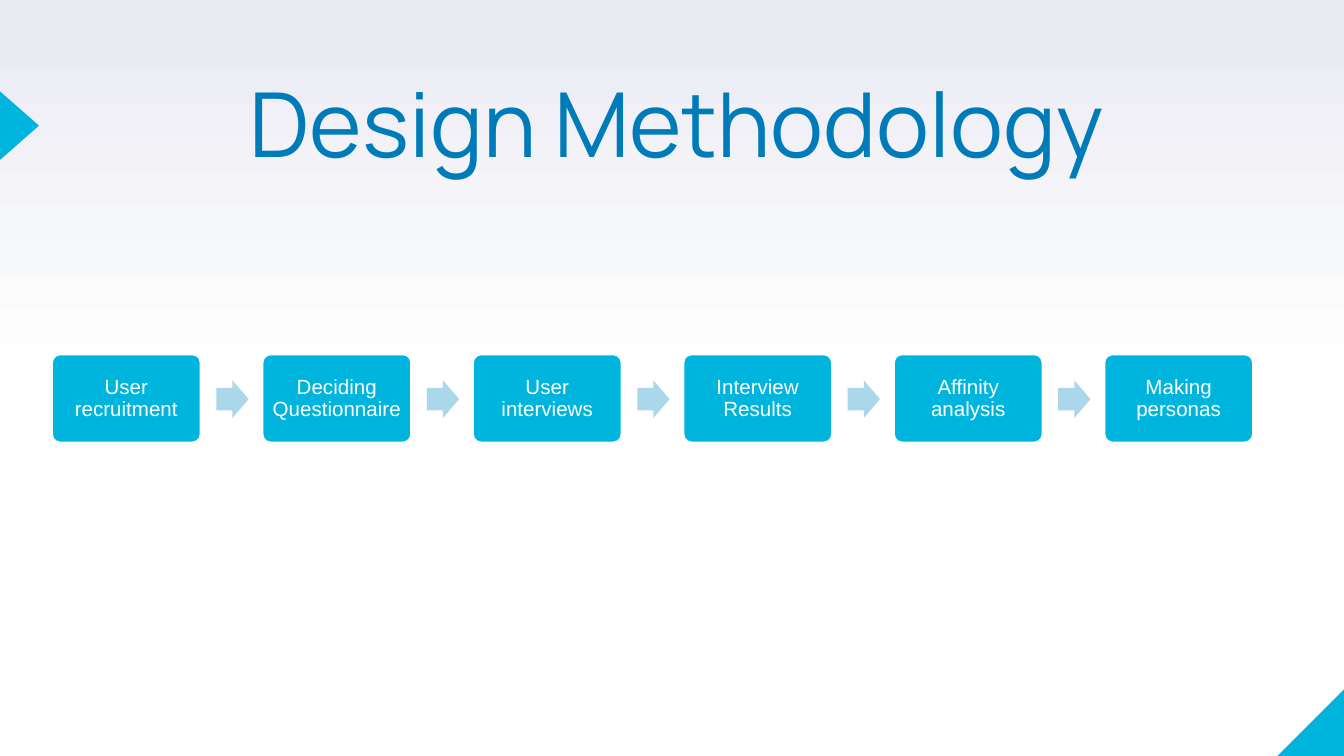
from copy import deepcopy

from pptx import Presentation
from pptx.dml.color import RGBColor
from pptx.enum.shapes import MSO_SHAPE
from pptx.enum.text import MSO_ANCHOR, MSO_AUTO_SIZE, PP_ALIGN
from pptx.oxml.ns import qn
from pptx.util import Inches, Pt

CENTER = PP_ALIGN.CENTER
TOP, MIDDLE = MSO_ANCHOR.TOP, MSO_ANCHOR.MIDDLE
NO_AUTOFIT = MSO_AUTO_SIZE.NONE
CORNER, TRIANGLE = MSO_SHAPE.RIGHT_TRIANGLE, MSO_SHAPE.ISOSCELES_TRIANGLE
ROUNDED, ARROW = MSO_SHAPE.ROUNDED_RECTANGLE, MSO_SHAPE.RIGHT_ARROW

CYAN, PALE_BLUE, BLUE, WHITE, LAVENDER = "00B5DD", "ABD7EB", "007BB9", "FFFFFF", "E9EAF2"
STEPS = [
    "User recruitment",
    "Deciding Questionnaire",
    "User interviews",
    "Interview Results",
    "Affinity analysis",
    "Making personas",
]


def add_filled_shape(kind, left, top, width, height, color):
    shape = slide.shapes.add_shape(
        kind, Inches(left), Inches(top), Inches(width), Inches(height))
    shape.shadow.inherit = False
    shape.fill.solid()
    shape.fill.fore_color.rgb = RGBColor.from_string(color)
    shape.line.fill.background()
    return shape


def write_text(shape, text, *, size, font, color, spacing, anchor, inset):
    frame = shape.text_frame
    frame.word_wrap = True
    frame.auto_size = NO_AUTOFIT
    frame.vertical_anchor = anchor
    frame.margin_left = frame.margin_right = Inches(inset)
    frame.margin_top = frame.margin_bottom = Inches(inset)
    para = frame.paragraphs[0]
    para.alignment = CENTER
    para.line_spacing = spacing
    span = para.add_run()
    span.text = text
    span.font.size = Pt(size)
    span.font.name = font
    span.font.color.rgb = RGBColor.from_string(color)


deck = Presentation()
deck.slide_width, deck.slide_height = Inches(10), Inches(10 * 9 / 16)
slide = deck.slides.add_slide(deck.slide_layouts[5])

# Background: white up to the middle, then lavender towards the top
background = slide.background.fill
background.gradient()
background.gradient_angle = 90
stop_list = next(slide.element.iter(qn("a:gsLst")))
stop_list.append(deepcopy(stop_list[0]))
stops = [(0, WHITE), (0.5, WHITE), (1, LAVENDER)]
for stop, (position, color) in zip(background.gradient_stops, stops):
    stop.position = position
    stop.color.rgb = RGBColor.from_string(color)

# Decorations at the slide edges
corner = add_filled_shape(CORNER, 9.5, 5.12, 0.51, 0.51, CYAN)
corner.element.spPr.find(qn("a:xfrm")).set("flipH", "1")
marker = add_filled_shape(TRIANGLE, -0.11, 0.79, 0.51, 0.29, CYAN)
marker.rotation = 90

title = slide.shapes.title
title.left, title.top = Inches(0.5), Inches(0.66)
title.width, title.height = Inches(9.21), Inches(1.18)
write_text(title, "Design Methodology ", size=48, font="Manrope", color=BLUE,
           spacing=0.8, anchor=TOP, inset=0)

# Process: equal steps with an arrow in each gap
first_left, last_left = 0.38, 8.21
pitch = (last_left - first_left) / (len(STEPS) - 1)
for index, step in enumerate(STEPS):
    left = first_left + index * pitch
    box = add_filled_shape(ROUNDED, left, 2.63, 1.12, 0.67, CYAN)
    box.adjustments[0] = 0.1
    box.line.color.rgb = RGBColor.from_string(WHITE)
    box.line.width = Pt(2)
    write_text(box, step, size=11, font="Arial", color=WHITE,
               spacing=0.9, anchor=MIDDLE, inset=0.05)
    if index < len(STEPS) - 1:
        arrow = add_filled_shape(ARROW, left + 1.23, 2.83, 0.24, 0.28, PALE_BLUE)
        arrow.adjustments[0] = 0.6
        arrow.adjustments[1] = 0.5

deck.save("out.pptx")
